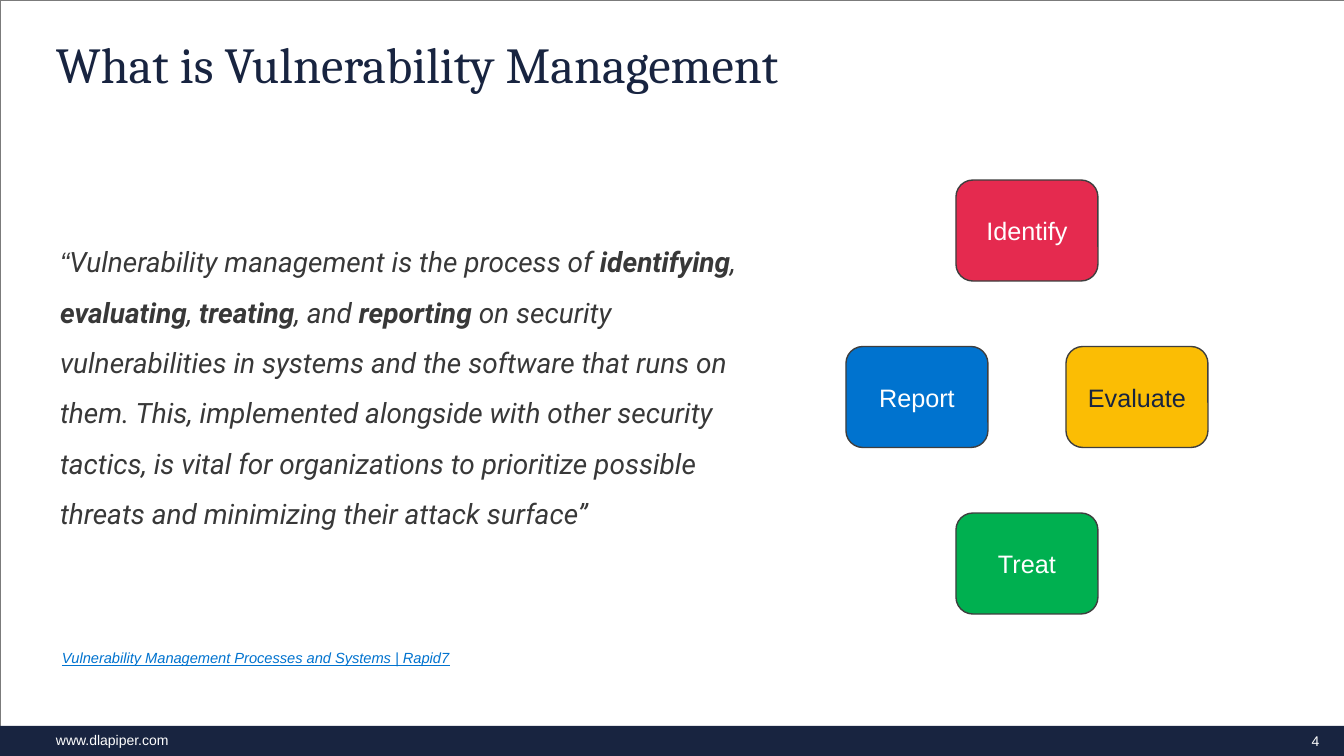
from pptx import Presentation
from pptx.dml.color import RGBColor
from pptx.enum.shapes import MSO_SHAPE as Shape
from pptx.enum.text import MSO_ANCHOR as Anchor, MSO_AUTO_SIZE as Fit, PP_ALIGN as Align
from pptx.oxml import parse_xml
from pptx.oxml.ns import nsdecls
from pptx.util import Emu, Pt

SCALE = 914400 / 100.8
WIDE, HIGH = 1344, 756
NAVY, WHITE, GREY, BLUE = "182440", "FFFFFF", "383838", "0073CF"
QUOTE = [
    ("Vulnerability management\u00a0is the process of ", False),
    ("identifying", True), (", ", False),
    ("evaluating", True), (", ", False),
    ("treating", True), (", and ", False),
    ("reporting", True),
    (" on security vulnerabilities in systems and the software that runs on them. "
     "This, implemented alongside with other security tactics, is vital for "
     "organizations to prioritize possible threats and minimizing their attack "
     "surface”", False),
]
# label, fill, text colour, column and row in the diamond
STEPS = [
    ("Identify", "E52A4F", WHITE, 1, 0),
    ("Evaluate", "FBBD04", NAVY, 2, 1),
    ("Treat", "00B050", WHITE, 1, 2),
    ("Report", BLUE, WHITE, 0, 1),
]


def px(num):
    return Emu(round(num * SCALE))


def tint(code):
    return RGBColor.from_string(code)


def apply(item, form):
    for name, value in form.items():
        setattr(item, name, value)


def place(shape, box):
    apply(shape, dict(zip(("left", "top", "width", "height"), map(px, box))))


def frame(shape, pad=(0, 0, 0, 0), anchor=Anchor.TOP):
    """Set margins, wrap and anchor; return the first paragraph."""
    text = shape.text_frame
    apply(text, {"word_wrap": True, "auto_size": Fit.NONE, "vertical_anchor": anchor})
    sides = ("margin_left", "margin_top", "margin_right", "margin_bottom")
    apply(text, dict(zip(sides, map(px, pad))))
    return text.paragraphs[0]


def write(para, text, size, code, face="Arial", **form):
    run = para.add_run()
    run.text = text
    apply(run.font, {"name": face, "size": Pt(size), **form})
    run.font.color.rgb = tint(code)


def block(slide, kind, box, fill=None, line=None, weight=1):
    shape = slide.shapes.add_shape(kind, *map(px, box))
    shape.shadow.inherit = False
    if fill:
        shape.fill.solid()
        shape.fill.fore_color.rgb = tint(fill)
    else:
        shape.fill.background()
    if line:
        shape.line.color.rgb = tint(line)
        shape.line.width = Pt(weight)
    else:
        shape.line.fill.background()
    return shape


def label(slide, box, pad=(0, 0, 0, 0), anchor=Anchor.TOP):
    return frame(slide.shapes.add_textbox(*map(px, box)), pad, anchor)


def title(slide, box):
    shape = slide.shapes.title
    place(shape, box)
    para = frame(shape)
    apply(para, {"alignment": Align.LEFT, "line_spacing": 0.9})
    write(para, "What is Vulnerability Management", 36, NAVY, "Cambria")


def quote(slide, box):
    shape = slide.placeholders[1]
    place(shape, box)
    para = frame(shape)
    props = para._p.get_or_add_pPr()
    props.set("marL", "0")
    props.set("indent", "0")
    props.append(parse_xml(f"<a:buNone {nsdecls('a')}/>"))
    apply(para, {"alignment": Align.LEFT, "line_spacing": 1.5, "space_before": Pt(0)})
    write(para, "“", 20, GREY, italic=True)
    for text, bold in QUOTE:
        write(para, text, 20, GREY, "Roboto", italic=True, bold=bold)


def cycle(slide, box):
    """Set the four steps in a diamond that fills the box."""
    left, top, width, height = box
    wide, high = 142, 101
    for text, fill, code, col, row in STEPS:
        x = left + col * (width - wide) / 2
        y = top + row * (height - high) / 2
        card = block(slide, Shape.ROUNDED_RECTANGLE, (x, y, wide, high), fill, "3E3E3E")
        para = frame(card, (10, 5, 10, 5), Anchor.MIDDLE)
        para.alignment = Align.CENTER
        write(para, text, 18, code)


def source(slide, box):
    para = label(slide, box, (10, 5, 10, 5))
    write(para, "Vulnerability Management Processes and Systems | Rapid7", 10.5, BLUE,
          italic=True, underline=True)


def footer(slide, box):
    left, top, width, height = box
    block(slide, Shape.RECTANGLE, box, NAVY)
    site = label(slide, (left + 56, top + 1, 191, 27), (0, 5, 10, 5))
    write(site, "www.dlapiper.com", 10, WHITE)
    page = label(slide, (left + width - 57, top, 57, height), anchor=Anchor.MIDDLE)
    page.alignment = Align.CENTER
    write(page, "4", 10, WHITE)


def main():
    deck = Presentation()
    apply(deck, {"slide_width": px(WIDE), "slide_height": px(HIGH)})
    slide = deck.slides.add_slide(deck.slide_layouts[1])
    block(slide, Shape.RECTANGLE, (0, 0, WIDE, HIGH), line="7B7B7B", weight=0.15)
    footer(slide, (0, 726, WIDE, 30))
    title(slide, (56, 40, 1230, 64))
    quote(slide, (60, 228, 713, 366))
    cycle(slide, (846, 180, 362, 434))
    source(slide, (52, 644, 672, 28))
    deck.save("out.pptx")


if __name__ == "__main__":
    main()
